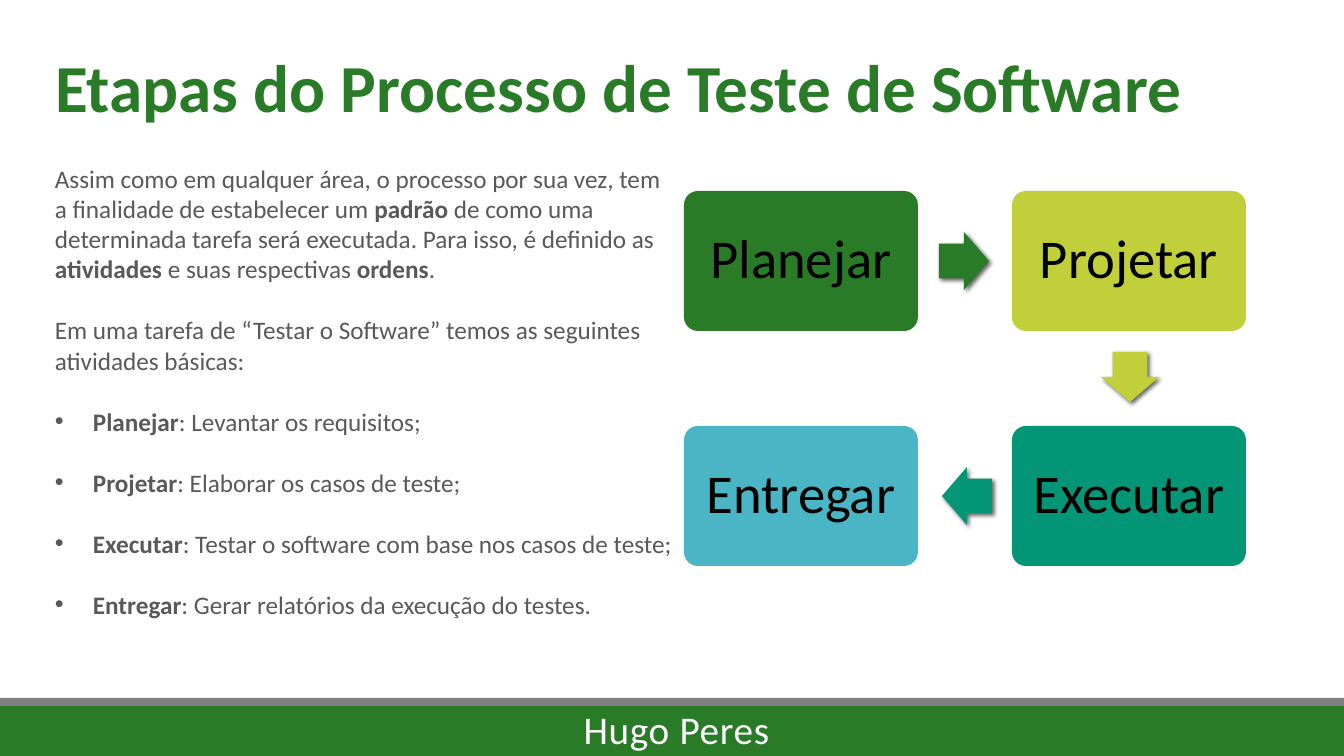
import lxml.etree
import pptx
import pptx.dml.color
import pptx.enum.shapes
import pptx.enum.text
import pptx.oxml
import pptx.oxml.ns
import pptx.util

SCALE = 12192000 / 1344
COLORS = {
    "green": "297B27", "lime": "C0CF3A", "teal": "029676", "blue": "4AB5C4",
    "gray": "7F7F7F", "text": "595959", "white": "FEFEFE", "black": "000000",
}
SHAPES = pptx.enum.shapes.MSO_SHAPE
ALIGN = pptx.enum.text.PP_ALIGN
ANCHOR = pptx.enum.text.MSO_ANCHOR
SHADOW = (
    f'<a:effectLst {pptx.oxml.ns.nsdecls("a")}>'
    '<a:outerShdw blurRad="38100" dist="25400" dir="2700000" rotWithShape="0">'
    f'<a:srgbClr val="{COLORS["black"]}"><a:alpha val="60000"/></a:srgbClr>'
    '</a:outerShdw></a:effectLst>'
)


def add_filled(kind, box, color):
    shape = slide.shapes.add_shape(kind, *(round(px * SCALE) for px in box))
    shape.shadow.inherit = False
    shape.fill.solid()
    shape.fill.fore_color.rgb = pptx.dml.color.RGBColor.from_string(COLORS[color])
    shape.line.fill.background()
    return shape


def set_font(paragraph, size, color):
    paragraph.font.name = "Calibri"
    paragraph.font.size = pptx.util.Pt(size)
    paragraph.font.color.rgb = pptx.dml.color.RGBColor.from_string(COLORS[color])


presentation = pptx.Presentation()
presentation.slide_width = round(1344 * SCALE)
presentation.slide_height = round(756 * SCALE)
slide = presentation.slides.add_slide(presentation.slide_layouts[5])

add_filled(SHAPES.RECTANGLE, (0, 706, 1344, 50), "green")
add_filled(SHAPES.RECTANGLE, (0, 698, 1344, 8), "gray")

title = slide.shapes.title
title.left, title.top, title.width, title.height = (
    round(px * SCALE) for px in (45, 40, 1160, 92))
title.text_frame.text = "Etapas do Processo de Teste de Software"
title.text_frame.word_wrap = False
title.text_frame.auto_size = pptx.enum.text.MSO_AUTO_SIZE.NONE
title.text_frame.vertical_anchor = ANCHOR.TOP
paragraph = title.text_frame.paragraphs[0]
paragraph.alignment = ALIGN.LEFT
set_font(paragraph, 48, "green")
paragraph.font.bold = True

intro = [
    [("Assim como em qualquer área, o processo por sua vez, tem a finalidade "
      "de estabelecer um ", False), ("padrão", True),
     (" de como uma determinada tarefa será executada. Para isso, é definido as ", False),
     ("atividades", True), (" e suas respectivas ", False), ("ordens", True), (".", False)],
    [("Em uma tarefa de “Testar o Software” temos as seguintes atividades básicas:", False)],
]
activities = [
    ("Planejar", "Levantar os requisitos;"),
    ("Projetar", "Elaborar os casos de teste;"),
    ("Executar", "Testar o software com base nos casos de teste;"),
    ("Entregar", "Gerar relatórios da execução do testes."),
]
bullets = [[(name, True), (f": {detail}", False)] for name, detail in activities]

body = slide.shapes.add_textbox(*(round(px * SCALE) for px in (45, 158, 639, 468)))
body.text_frame.word_wrap = True
for index, parts in enumerate(intro + bullets):
    paragraph = body.text_frame.paragraphs[0] if index == 0 else body.text_frame.add_paragraph()
    if index > 0:
        paragraph.space_before = pptx.util.Pt(22)
    if index >= len(intro):
        properties = paragraph._p.get_or_add_pPr()
        properties.set("marL", str(round(38 * SCALE)))
        properties.set("indent", str(round(-38 * SCALE)))
        font = lxml.etree.SubElement(properties, pptx.oxml.ns.qn("a:buFont"))
        font.set("typeface", "Arial")
        bullet = lxml.etree.SubElement(properties, pptx.oxml.ns.qn("a:buChar"))
        bullet.set("char", "•")
    set_font(paragraph, 18, "text")
    for text, bold in parts:
        run = paragraph.add_run()
        run.text = text
        run.font.bold = bold

author = slide.shapes.add_textbox(*(round(px * SCALE) for px in (554, 706, 245, 48)))
author.text_frame.word_wrap = True
author.text_frame.margin_left = author.text_frame.margin_right = 0
paragraph = author.text_frame.paragraphs[0]
paragraph.alignment = ALIGN.CENTER
paragraph.line_spacing = 0.9
set_font(paragraph, 28, "white")
run = paragraph.add_run()
run.text = "Hugo Peres"
run.font._element.set("spc", "50")

left, right, top, bottom = 684, 1012, 191, 426
steps = [
    ("Planejar", left, top, "green"),
    ("Projetar", right, top, "lime"),
    ("Executar", right, bottom, "teal"),
    ("Entregar", left, bottom, "blue"),
]
for name, x, y, color in steps:
    step = add_filled(SHAPES.ROUNDED_RECTANGLE, (x, y, 234, 140), color)
    step.adjustments[0] = 0.1
    frame = step.text_frame
    frame.word_wrap = True
    frame.vertical_anchor = ANCHOR.MIDDLE
    frame.margin_left = frame.margin_right = round(16 * SCALE)
    frame.text = name
    paragraph = frame.paragraphs[0]
    paragraph.alignment = ALIGN.CENTER
    paragraph.line_spacing = 0.9
    set_font(paragraph, 39, "black")

for x, y, rotation, color in [
    (939, 232, 0, "green"), (1105, 348, 90, "lime"), (942, 467, 180, "teal"),
]:
    arrow = add_filled(SHAPES.RIGHT_ARROW, (x, y, 50, 58), color)
    arrow.rotation = rotation
    arrow.adjustments[0] = 0.6
    arrow.adjustments[1] = 0.5
    effects = arrow._element.spPr.find(pptx.oxml.ns.qn("a:effectLst"))
    arrow._element.spPr.replace(effects, pptx.oxml.parse_xml(SHADOW))

presentation.save("out.pptx")
